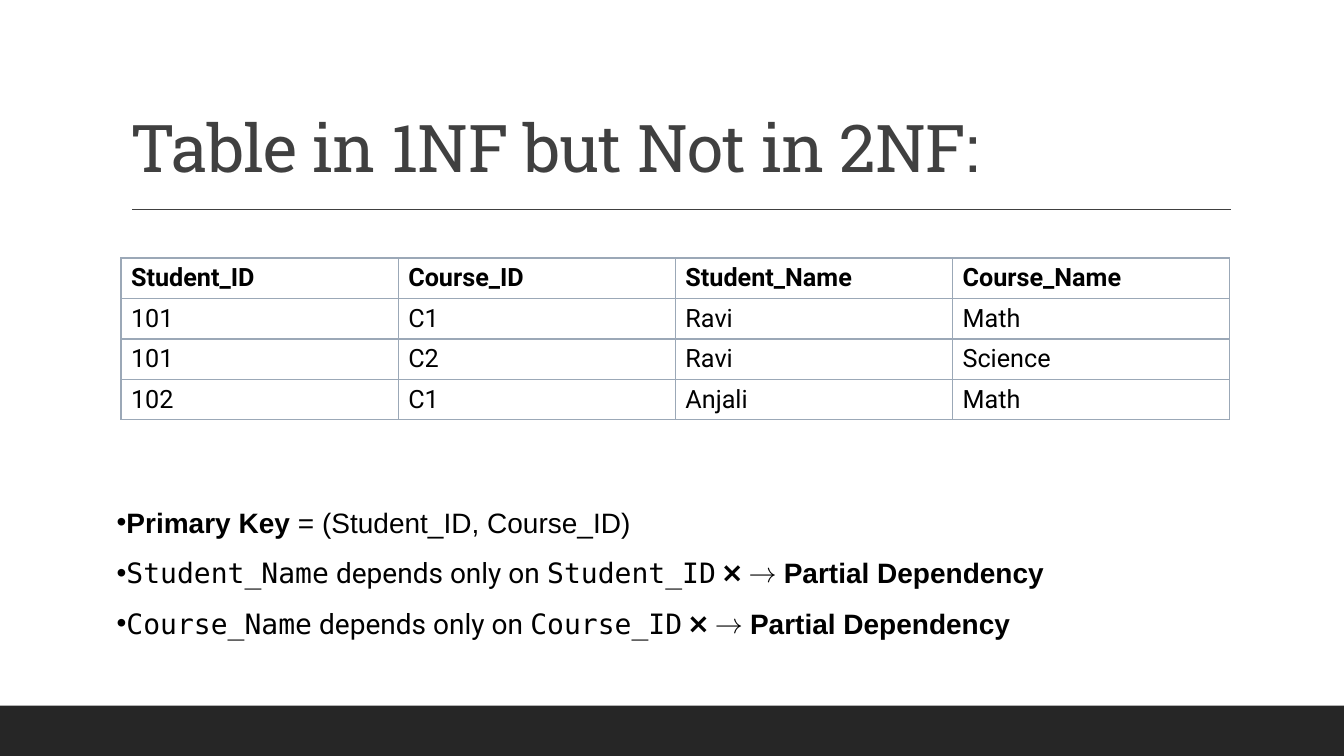
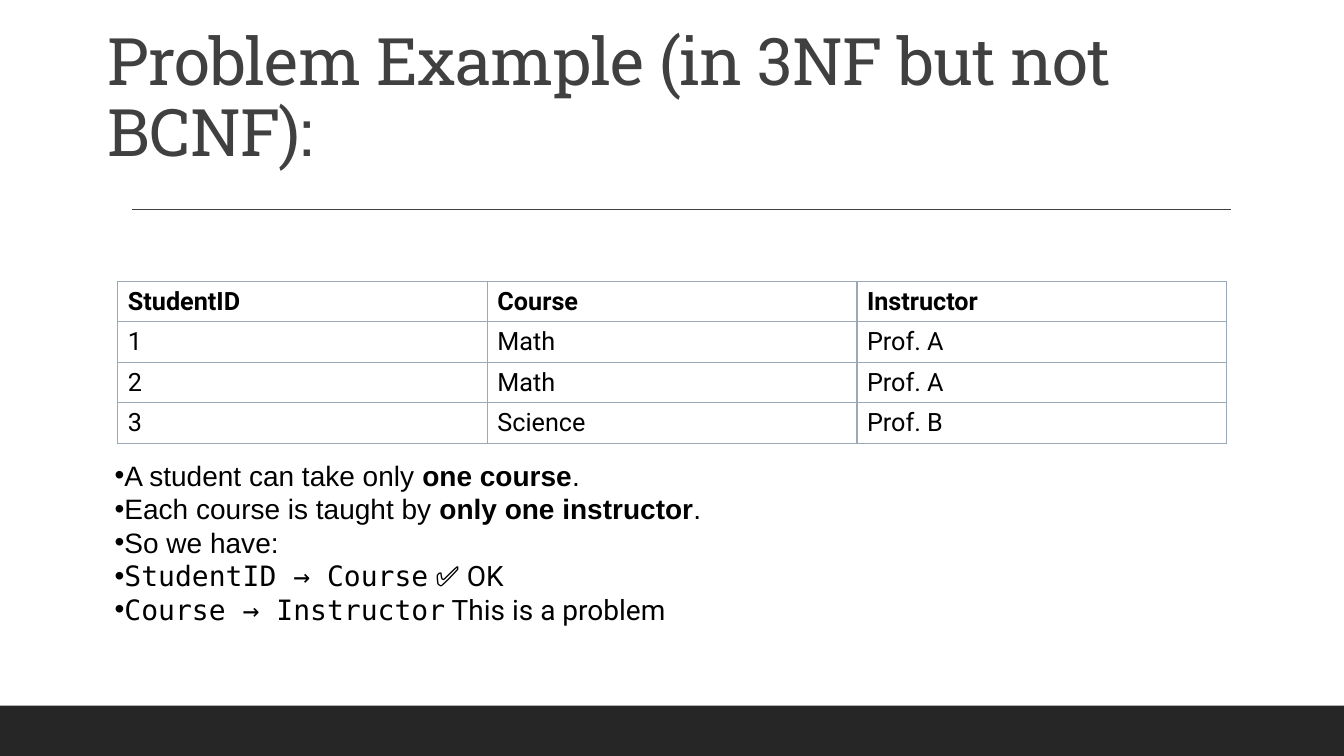
from lxml import etree
from pptx import Presentation
from pptx.dml.color import RGBColor
from pptx.enum.shapes import MSO_CONNECTOR, MSO_SHAPE
from pptx.enum.text import MSO_ANCHOR
from pptx.oxml import parse_xml
from pptx.oxml.ns import nsdecls, qn
from pptx.util import Cm, Pt

RECTANGLE = MSO_SHAPE.RECTANGLE
STRAIGHT = MSO_CONNECTOR.STRAIGHT
BOTTOM = MSO_ANCHOR.BOTTOM
MIDDLE = MSO_ANCHOR.MIDDLE

COLORS = {"band": "262626", "title": "404040", "text": "000000", "grid": "9BA8B7"}
TITLE, BODY, SANS, MONO = "Roboto Slab", "Arial", "Roboto", "DejaVu Sans Mono"
WIDTH, HEIGHT = 33.87, 19.05
BAND_HEIGHT = 1.27
ROW_HEIGHT = 1.02


class NormalFormDeck:
    """Holds the shared style and the slide being built."""

    def __init__(self):
        self.deck = Presentation()
        self.deck.slide_width, self.deck.slide_height = Cm(WIDTH), Cm(HEIGHT)
        self.page = None

    def color(self, name):
        return RGBColor.from_string(COLORS[name])

    def new_page(self):
        self.page = self.deck.slides.add_slide(self.deck.slide_layouts[6])
        band = self.page.shapes.add_shape(
            RECTANGLE, 0, Cm(HEIGHT - BAND_HEIGHT), Cm(WIDTH), Cm(BAND_HEIGHT))
        band.shadow.inherit = False
        band.fill.solid()
        band.fill.fore_color.rgb = self.color("band")
        band.line.fill.background()
        rule = self.page.shapes.add_connector(
            STRAIGHT, Cm(3.33), Cm(5.28), Cm(31.01), Cm(5.28))
        rule.line.color.rgb = self.color("title")
        rule.line.width = Pt(1)
        etree.SubElement(rule._element.spPr, qn("a:effectLst"))

    def add_span(self, para, text, font, size, color="text", bold=False):
        span = para.add_run()
        span.text = text
        span.font.name, span.font.size, span.font.bold = font, Pt(size), bold
        span.font.color.rgb = self.color(color)
        return span

    def text_frame(self, left, top, width, height, anchor):
        box = self.page.shapes.add_textbox(Cm(left), Cm(top), Cm(width), Cm(height))
        frame = box.text_frame
        frame.word_wrap = True
        frame.vertical_anchor = anchor
        return frame

    def title(self, text, left, top, width, height, size):
        para = self.text_frame(left, top, width, height, BOTTOM).paragraphs[0]
        para.line_spacing = 0.9
        span = self.add_span(para, text, TITLE, size, "title")
        span._r.get_or_add_rPr().set("spc", "-50")

    def bullets(self, items, left, top, width, height, spacing=1.0):
        frame = self.text_frame(left, top, width, height, MIDDLE)
        for index, spans in enumerate(items):
            para = frame.add_paragraph() if index else frame.paragraphs[0]
            para.line_spacing = spacing
            properties = para._p.get_or_add_pPr()
            properties.set("marL", "0")
            properties.set("indent", "0")
            etree.SubElement(properties, qn("a:buFont")).set("typeface", BODY)
            etree.SubElement(properties, qn("a:buChar")).set("char", "•")
            for text, font, bold in spans:
                self.add_span(para, text, font, 20, bold=bold)

    def border(self, cell):
        properties = cell._tc.get_or_add_tcPr()
        for index, side in enumerate(("lnL", "lnR", "lnT", "lnB")):
            properties.insert(index, parse_xml(
                f'<a:{side} {nsdecls("a")} w="12700"><a:solidFill>'
                f'<a:srgbClr val="{COLORS["grid"]}"/></a:solidFill></a:{side}>'))

    def table(self, rows, left, top, width=27.94):
        columns = len(rows[0])
        table = self.page.shapes.add_table(
            len(rows), columns, Cm(left), Cm(top),
            Cm(width), Cm(ROW_HEIGHT * len(rows))).table
        table.first_row = table.horz_banding = False
        for column in table.columns:
            column.width = Cm(width / columns)
        for row_index, values in enumerate(rows):
            for column_index, value in enumerate(values):
                cell = table.cell(row_index, column_index)
                cell.vertical_anchor = MIDDLE
                cell.fill.background()
                self.border(cell)
                self.add_span(cell.text_frame.paragraphs[0], value, SANS, 18,
                              bold=row_index == 0)


def partial_dependency(attribute, key):
    return [(attribute, MONO, False), (" depends only on ", SANS, False),
            (key, MONO, False), (" ❌ → ", SANS, False),
            ("Partial Dependency", BODY, True)]


def main():
    show = NormalFormDeck()

    show.new_page()
    show.title("Table in 1NF but Not in 2NF:", 3.05, 0.79, 27.94, 4.04, 47)
    show.bullets([
        [("Primary Key", BODY, True), (" = (Student_ID, Course_ID)", BODY, False)],
        partial_dependency("Student_Name", "Student_ID"),
        partial_dependency("Course_Name", "Course_ID"),
    ], 2.69, 12.24, 26.82, 3.96, spacing=1.5)
    show.table([
        ["Student_ID", "Course_ID", "Student_Name", "Course_Name"],
        ["101", "C1", "Ravi", "Math"],
        ["101", "C2", "Ravi", "Science"],
        ["102", "C1", "Anjali", "Math"],
    ], 3.05, 6.5)

    show.new_page()
    show.title("Problem Example (in 3NF but not BCNF):", 2.46, 0.66, 28.45, 3.76, 46.8)
    show.table([
        ["StudentID", "Course", "Instructor"],
        ["1", "Math", "Prof. A"],
        ["2", "Math", "Prof. A"],
        ["3", "Science", "Prof. B"],
    ], 2.97, 7.09)
    show.bullets([
        [("A student can take only ", BODY, False), ("one course", BODY, True),
         (".", BODY, False)],
        [("Each course is taught by ", BODY, False),
         ("only one instructor", BODY, True), (".", BODY, False)],
        [("So we have:", BODY, False)],
        [("StudentID → Course", MONO, False), (" ✅ OK", SANS, False)],
        [("Course → Instructor", MONO, False), (" This is a problem", SANS, False)],
    ], 2.64, 11.4, 27.94, 4.52)

    show.deck.save("out.pptx")


if __name__ == "__main__":
    main()
